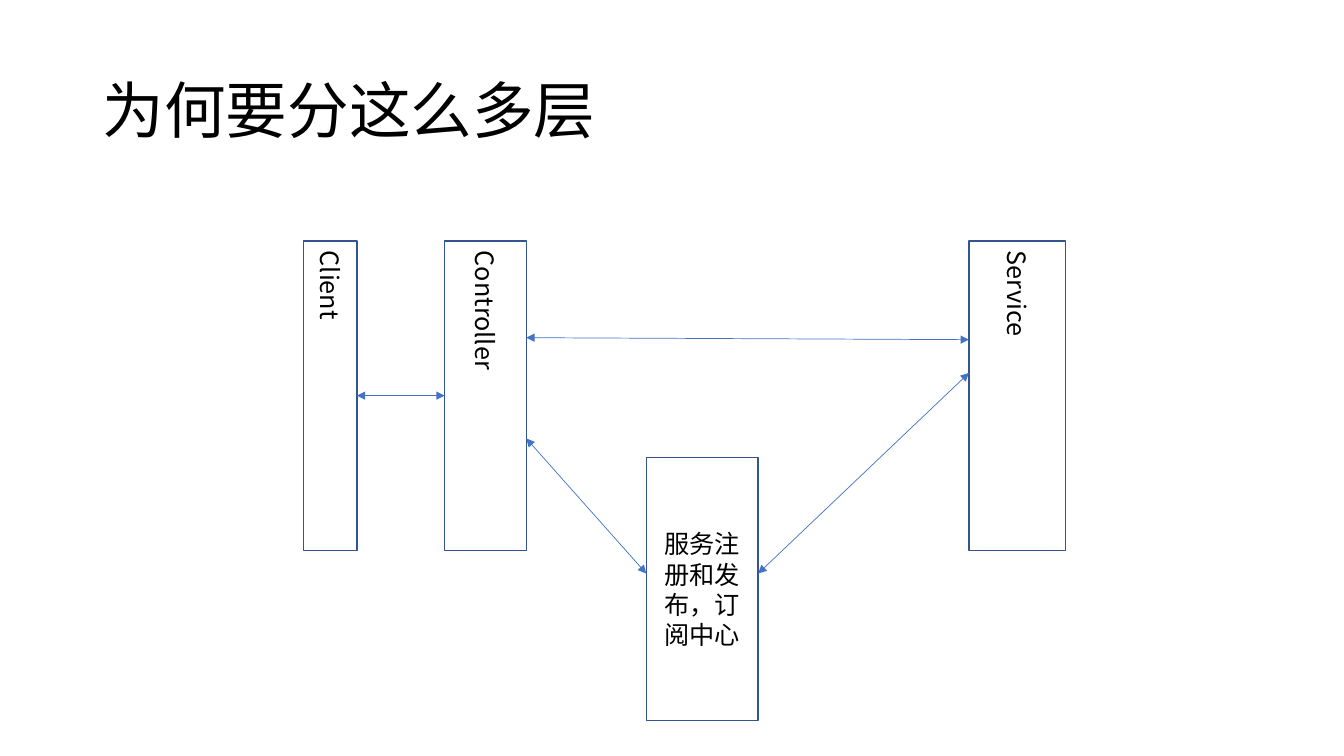
from lxml import etree
from pptx import Presentation
from pptx.dml.color import RGBColor
from pptx.enum.shapes import MSO_CONNECTOR, MSO_SHAPE
from pptx.enum.text import MSO_ANCHOR, PP_ALIGN
from pptx.oxml.ns import qn
from pptx.util import Inches, Pt

RECTANGLE = MSO_SHAPE.RECTANGLE
STRAIGHT = MSO_CONNECTOR.STRAIGHT
MIDDLE = MSO_ANCHOR.MIDDLE
LEFT, CENTER = PP_ALIGN.LEFT, PP_ALIGN.CENTER

FONT = "Noto Sans CJK SC"
BLACK, OUTLINE, ARROW = "000000", "325491", "4472C4"

LAYER_TOP, LAYER_HEIGHT = 2.39, 3.07
CLIENT = (3.01, LAYER_TOP, 0.53, LAYER_HEIGHT)
CONTROLLER = (4.41, LAYER_TOP, 0.81, LAYER_HEIGHT)
SERVICE = (9.61, LAYER_TOP, 0.96, LAYER_HEIGHT)
REGISTRY = (6.41, 4.54, 1.11, 2.61)


def color(value):
    """Turn a hex string into a colour."""
    return RGBColor.from_string(value)


def write(shape, text, size, align):
    """Put one vertically centred paragraph into a shape."""
    frame = shape.text_frame
    frame.word_wrap = True
    frame.vertical_anchor = MIDDLE
    para = frame.paragraphs[0]
    para.alignment = align
    span = para.add_run()
    span.text = text
    span.font.name = FONT
    span.font.size = Pt(size)
    span.font.color.rgb = color(BLACK)
    east_asian = etree.SubElement(span.font._element, qn("a:ea"))
    east_asian.set("typeface", FONT)
    return para


def add_title(page, box, text):
    """Write the slide title in its box."""
    title = page.shapes.add_textbox(*map(Inches, box))
    write(title, text, 44, LEFT).line_spacing = 0.9


def add_layer(page, box, text, vertical=True):
    """Draw an outlined layer with its name, turned sideways if vertical."""
    layer = page.shapes.add_shape(RECTANGLE, *map(Inches, box))
    layer.shadow.inherit = False
    layer.fill.background()
    layer.line.color.rgb = color(OUTLINE)
    layer.line.width = Pt(1)
    write(layer, text, 18, CENTER)
    if vertical:
        layer.text_frame._txBody.bodyPr.set("vert", "eaVert")


def add_link(page, left_box, right_box, start_y, end_y):
    """Join the facing sides of two boxes with a double-headed arrow."""
    start_x, end_x = left_box[0] + left_box[2], right_box[0]
    points = map(Inches, (start_x, start_y, end_x, end_y))
    link = page.shapes.add_connector(STRAIGHT, *points)
    link.line.color.rgb = color(ARROW)
    link.line.width = Pt(0.5)
    outline = link.line._get_or_add_ln()
    for end in ("a:headEnd", "a:tailEnd"):
        etree.SubElement(outline, qn(end)).set("type", "triangle")
    etree.SubElement(link._element.spPr, qn("a:effectLst"))


def add_diagram(page):
    """Draw the layers and the calls between them."""
    add_layer(page, CLIENT, "Client")
    add_layer(page, CONTROLLER, "Controller")
    add_layer(page, SERVICE, "Service")
    add_layer(page, REGISTRY, "服务注册和发布，订阅中心", vertical=False)

    layer_middle = LAYER_TOP + LAYER_HEIGHT / 2
    add_link(page, CLIENT, CONTROLLER, layer_middle, layer_middle)
    add_link(page, CONTROLLER, SERVICE, 3.35, 3.37)
    add_link(page, CONTROLLER, REGISTRY, 4.35, 5.69)
    add_link(page, REGISTRY, SERVICE, 5.69, 3.7)


deck = Presentation()
deck.slide_width, deck.slide_height = Inches(13.33), Inches(7.5)
slide = deck.slides.add_slide(deck.slide_layouts[6])
add_title(slide, (0.92, 0.4, 11.5, 1.45), "为何要分这么多层")
add_diagram(slide)
deck.save("out.pptx")
